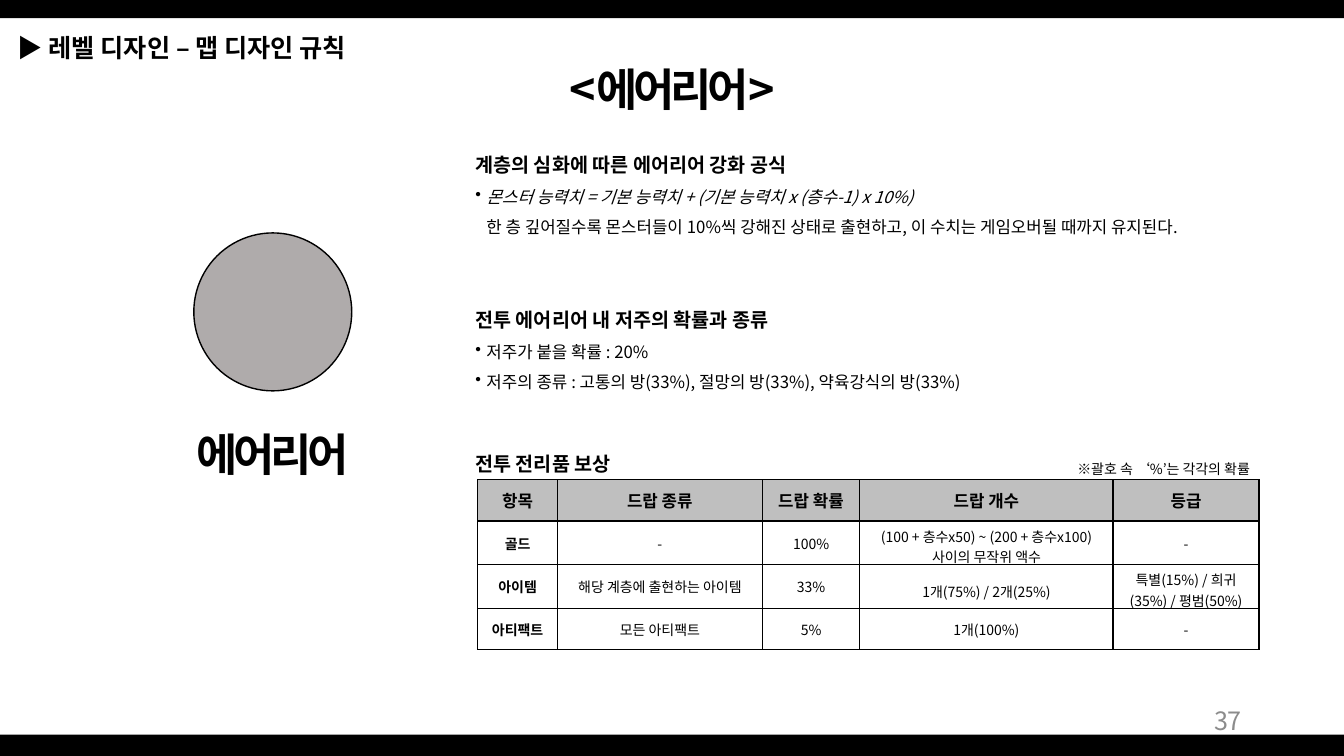
from lxml.etree import SubElement
from pptx import Presentation
from pptx.dml.color import RGBColor
from pptx.enum.shapes import MSO_SHAPE
from pptx.enum.text import MSO_ANCHOR, MSO_AUTO_SIZE, PP_ALIGN
from pptx.oxml.ns import qn
from pptx.util import Cm, Pt

FONT = "Noto Sans CJK KR"
HEX = {"black": "000000", "disc": "AFABAB", "head": "BFBFBF", "page": "8C8C8C"}
WIDE, HIGH = 33.87, 19.05
COLS = [2.01, 5.16, 2.46, 6.38, 3.68]
ROW = 1.04
LOOT = [
    ["항목", "드랍 종류", "드랍 확률", "드랍 개수", "등급"],
    ["골드", "-", "100%", "(100 + 층수x50) ~ (200 + 층수x100)\n사이의 무작위 액수", "-"],
    ["아이템", "해당 계층에 출현하는 아이템", "33%", "1개(75%) / 2개(25%)",
     "특별(15%) / 희귀(35%) / 평범(50%)"],
    ["아티팩트", "모든 아티팩트", "5%", "1개(100%)", "-"],
]


def color(name):
    return RGBColor.from_string(HEX[name])


def style(para, size, bold=False, tint="black", tight=False):
    """Format every run and line break of a paragraph."""
    for run in para.runs:
        font = run.font
        font.name, font.size, font.bold = FONT, Pt(size), bold
        font.color.rgb = color(tint)
        props = run._r.get_or_add_rPr()
        SubElement(props, qn("a:ea")).set("typeface", FONT)
        if tight:
            props.set("spc", "-300")
    for line in para._p.findall(qn("a:br")):
        SubElement(line, qn("a:rPr")).set("sz", str(size * 100))


def bullet(para):
    props = para._p.get_or_add_pPr()
    props.set("marL", str(Cm(0.28)))
    props.set("indent", str(-Cm(0.28)))
    SubElement(props, qn("a:buChar")).set("char", "•")


def write(slide, box, text, size, align=PP_ALIGN.LEFT, **look):
    frame = slide.shapes.add_textbox(*map(Cm, box)).text_frame
    frame.word_wrap = True
    frame.auto_size = MSO_AUTO_SIZE.SHAPE_TO_FIT_TEXT
    frame.text = text
    para = frame.paragraphs[0]
    para.alignment = align
    style(para, size, **look)
    return frame


def shape(slide, kind, box, fill):
    item = slide.shapes.add_shape(kind, *map(Cm, box))
    item.shadow.inherit = False
    item.fill.solid()
    item.fill.fore_color.rgb = color(fill)
    item.line.fill.background()
    return item


def border(cell):
    props = cell._tc.get_or_add_tcPr()
    for spot, side in enumerate(("lnL", "lnR", "lnT", "lnB")):
        line = SubElement(props, qn("a:" + side))
        line.set("w", str(Pt(1)))
        fill = SubElement(line, qn("a:solidFill"))
        SubElement(fill, qn("a:srgbClr")).set("val", HEX["black"])
        props.insert(spot, line)


def frame_page(slide):
    """Place the black bars, the headings and the page number."""
    for top, tall in ((HIGH - 0.54, 0.54), (0, 0.46)):
        shape(slide, MSO_SHAPE.RECTANGLE, (0, top, WIDE, tall), "black")
    write(slide, (12.01, 1.42, 9.88, 1.63), "<에어리어>", 32, PP_ALIGN.CENTER,
          bold=True, tight=True)
    write(slide, (0.2, 0.69, 11.81, 1.02), "▶ 레벨 디자인 – 맵 디자인 규칙", 18, bold=True)
    page = write(slide, (23.93, 17.65, 7.62, 1.02), "37", 18, PP_ALIGN.RIGHT, tint="page")
    page.auto_size = MSO_AUTO_SIZE.NONE
    page.vertical_anchor = MSO_ANCHOR.MIDDLE


def area(slide, left, top, wide):
    """Place the area disc above its name."""
    size = 3.98
    disc = shape(slide, MSO_SHAPE.OVAL,
                 (left + (wide - size) / 2, top, size, size), "disc")
    disc.line.color.rgb = color("black")
    disc.line.width = Pt(1)
    write(slide, (left, top + 4.75, wide, 1.63), "에어리어", 32, PP_ALIGN.CENTER,
          bold=True, tight=True)


def rules(slide, box, title, items=()):
    """Place a bold title with bulleted rules below it."""
    frame = write(slide, box, title, 14, bold=True)
    frame.paragraphs[0].line_spacing = 1.5
    for text in items:
        para = frame.add_paragraph()
        para.text = text
        para.line_spacing = 1.5
        bullet(para)
        style(para, 12)
    return frame


def loot(slide, left, top):
    grid = slide.shapes.add_table(len(LOOT), len(COLS), Cm(left), Cm(top),
                                  Cm(sum(COLS)), Cm(ROW * len(LOOT))).table
    grid.horz_banding = False
    for col, wide in zip(grid.columns, COLS):
        col.width = Cm(wide)
    for r, texts in enumerate(LOOT):
        grid.rows[r].height = Cm(ROW)
        for c, text in enumerate(texts):
            cell = grid.cell(r, c)
            cell.text = text
            cell.vertical_anchor = MSO_ANCHOR.MIDDLE
            if r == 0:
                cell.fill.solid()
                cell.fill.fore_color.rgb = color("head")
            else:
                cell.fill.background()
            border(cell)
            for para in cell.text_frame.paragraphs:
                para.alignment = PP_ALIGN.CENTER
                style(para, 10 if r else 12, bold=r == 0 or c == 0)
    grid.cell(2, 3).text_frame.paragraphs[0].line_spacing = 1.5


def main():
    deck = Presentation()
    deck.slide_width, deck.slide_height = Cm(WIDE), Cm(HIGH)
    slide = deck.slides.add_slide(deck.slide_layouts[6])
    frame_page(slide)
    area(slide, 2.62, 5.87, 8.51)
    left = 11.73
    power = rules(slide, (left, 3.43, 20.83, 2.69), "계층의 심화에 따른 에어리어 강화 공식", [
        "몬스터 능력치 = 기본 능력치 + (기본 능력치 x (층수-1) x 10%)\v"
        "한 층 깊어질수록 몬스터들이 10%씩 강해진 상태로 출현하고, "
        "이 수치는 게임오버될 때까지 유지된다."])
    power.paragraphs[1].runs[0].font.italic = True
    rules(slide, (left, 7.34, 13.97, 2.69), "전투 에어리어 내 저주의 확률과 종류", [
        "저주가 붙을 확률 : 20%",
        "저주의 종류 : 고통의 방(33%), 절망의 방(33%), 약육강식의 방(33%)"])
    rules(slide, (left, 10.97, 13.97, 1.04), "전투 전리품 보상")
    loot(slide, left + 0.31, 12.09)
    note = write(slide, (26.9, 11.28, 5.36, 0.89), "※괄호 속 ‘%’는 각각의 확률", 10)
    note.paragraphs[0].line_spacing = 1.5
    deck.save("out.pptx")


if __name__ == "__main__":
    main()
